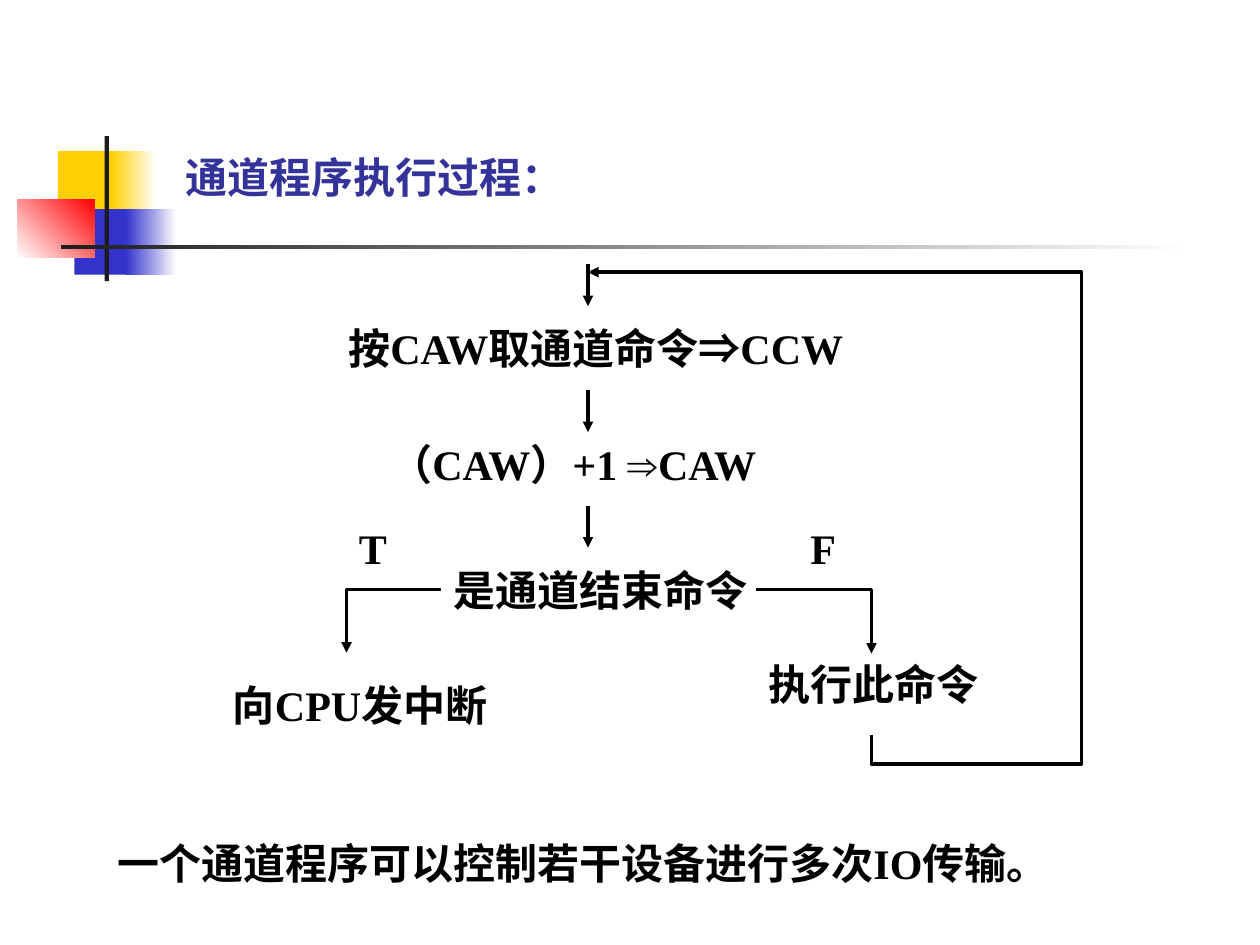
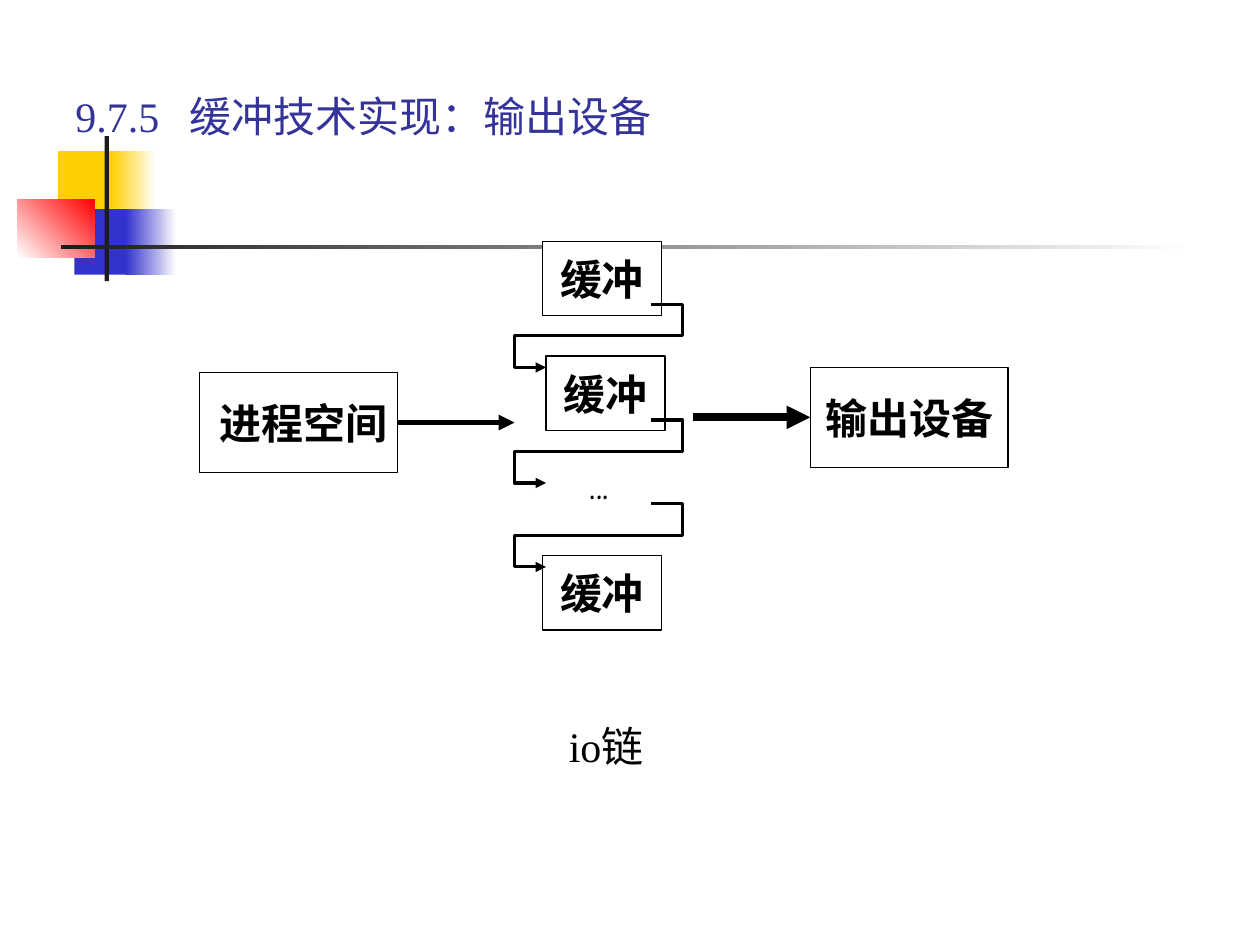
import pptx
import pptx.dml.color
import pptx.enum.shapes
import pptx.enum.text
import pptx.oxml.ns
import pptx.util
from lxml import etree

Pt = pptx.util.Pt
RGB = pptx.dml.color.RGBColor
qn = pptx.oxml.ns.qn
RECT = pptx.enum.shapes.MSO_SHAPE.RECTANGLE

BLACK = RGB(0x00, 0x00, 0x00)
WHITE = RGB(0xFF, 0xFF, 0xFF)
COAL = RGB(0x1C, 0x1C, 0x1C)
GOLD = RGB(0xFF, 0xCF, 0x01)
BLUE = RGB(0x33, 0x33, 0xCC)
RED = RGB(0xFF, 0x00, 0x00)
NAVY = RGB(0x33, 0x33, 0x99)
SERIF = "Times New Roman"
COMIC = "Comic Neue"


def write(shape, text, bold=True, tint=BLACK, face=SERIF):
    shape.text_frame.text = text
    for run in shape.text_frame.paragraphs[0].runs:
        run.font.name = face
        run.font.size = Pt(24)
        run.font.bold = bold
        run.font.color.rgb = tint


def arrow(shape, width):
    """Style a line or open path as a black arrow without shadow."""
    shape.line.color.rgb = BLACK
    shape.line.width = Pt(width)
    props = shape.element.spPr
    etree.SubElement(props.find(qn("a:ln")), qn("a:tailEnd"), type="triangle")
    etree.SubElement(props, qn("a:effectLst"))


deck = pptx.Presentation()
deck.slide_width = Pt(720)
deck.slide_height = Pt(540)
blank = deck.slide_layouts[6]
for holder in list(blank.placeholders):
    holder.element.getparent().remove(holder.element)
flow = deck.slides.add_slide(blank)
chain = deck.slides.add_slide(blank)

# Shared corner blocks and rules, placed on the layout: left, top, width, height, colours, angle
decor = [
    (33.1, 86.4, 34.6, 37.4, [GOLD], 0),
    (63.4, 86.4, 25.9, 37.4, [GOLD, WHITE], 0),
    (42.5, 119.5, 33.1, 37.4, [BLUE], 0),
    (72, 119.5, 28.8, 37.4, [BLUE, WHITE], 0),
    (10, 113.8, 44, 33.5, [WHITE, RED], 45),
    (59.8, 77.8, 2.5, 82.8, [COAL], 0),
    (34.6, 140, 648, 2.6, [COAL, WHITE], 0),
]
for left, top, wide, high, tints, angle in decor:
    block = flow.shapes.add_shape(RECT, Pt(left), Pt(top), Pt(wide), Pt(high))
    block.shadow.inherit = False
    block.line.fill.background()
    if len(tints) == 1:
        block.fill.solid()
        block.fill.fore_color.rgb = tints[0]
    else:
        block.fill.gradient()
        block.fill.gradient_angle = angle
        for stop, tint in zip(block.fill.gradient_stops, tints):
            stop.color.rgb = tint
    blank.shapes.element.append(block.element)

# Boxes of the buffer chain
boxes = []
for text, left, top, wide, high in [
    ("进程空间", 114, 213, 113, 57),
    ("输出设备", 463, 210, 113, 57),
    ("缓冲", 310, 138, 68, 42.5),
    ("缓冲", 312, 203.5, 68, 42.5),
    ("缓冲", 310, 317.5, 68, 42.5),
]:
    box = chain.shapes.add_shape(RECT, Pt(left), Pt(top), Pt(wide), Pt(high))
    box.shadow.inherit = False
    box.fill.solid()
    box.fill.fore_color.rgb = WHITE
    box.line.color.rgb = BLACK
    box.line.width = Pt(0.75)
    write(box, text)
    box.text_frame.word_wrap = False
    box.text_frame.vertical_anchor = pptx.enum.text.MSO_ANCHOR.MIDDLE
    box.text_frame.paragraphs[0].alignment = pptx.enum.text.PP_ALIGN.CENTER
    boxes.append(box)
space, device = boxes[:2]
space.text_frame.margin_left = Pt(13)

# Straight arrows
lines = [(flow, 336, top, 336, top + 24, 2) for top in (151, 223, 289)]
lines += [(chain, 227, 241.5, 294, 241.5, 3), (chain, 396, 238.5, 463, 238.5, 4.5)]
links = []
for slide, *ends, width in lines:
    link = slide.shapes.add_connector(
        pptx.enum.shapes.MSO_CONNECTOR.STRAIGHT, *map(Pt, ends))
    arrow(link, width)
    links.append(link)
links[-2].begin_connect(space, 3)
links[-1].end_connect(device, 1)

# Bent arrows
bends = [
    (flow, 2, [(432, 337), (498, 337), (498, 373.5)]),
    (flow, 2, [(498, 420), (498, 436.5), (618, 436.5), (618, 155.5), (336, 155.5)]),
    (flow, 2, [(252, 337), (198, 337), (198, 373)]),
]
for top in (174, 240, 288):
    bends.append((chain, 1.75, [
        (372, top), (390, top), (390, top + 18),
        (294, top + 18), (294, top + 36), (312, top + 36)]))
for slide, width, spots in bends:
    spots = [(Pt(x), Pt(y)) for x, y in spots]
    pen = slide.shapes.build_freeform(*spots[0])
    pen.add_line_segments(spots[1:], close=False)
    bend = pen.convert_to_shape()
    bend.fill.background()
    arrow(bend, width)

# Texts: slide, left, top, width, wording and style
notes = [
    (flow, 99, 83, 402, "通道程序执行过程：", True, NAVY),
    (flow, 192, 181, 306, "按CAW取通道命令⇒CCW"),
    (flow, 216, 247, 252, "（CAW）+1 ⇒CAW"),
    (flow, 252, 319, 186, "是通道结束命令"),
    (flow, 432, 373, 138, "执行此命令"),
    (flow, 456, 295, 48, "F"),
    (flow, 198, 295, 48, "T"),
    (flow, 126, 385, 162, "向CPU发中断"),
    (flow, 60, 475, 594, "一个通道程序可以控制若干设备进行多次IO传输。"),
    (chain, 36, 48, 390, "9.7.5\t缓冲技术实现：输出设备", False, NAVY),
    (chain, 330, 258, 42, "...", False, BLACK, COMIC),
    (chain, 318, 408, 72, "io链", False),
]
for slide, left, top, wide, text, *style in notes:
    note = slide.shapes.add_textbox(Pt(left), Pt(top), Pt(wide), Pt(36))
    note.text_frame.word_wrap = True
    write(note, text, *style)
    if "\t" in text:
        props = note.text_frame.paragraphs[0]._p.get_or_add_pPr()
        tabs = etree.SubElement(props, qn("a:tabLst"))
        etree.SubElement(tabs, qn("a:tab"), pos=str(Pt(65)), algn="l")

deck.save("out.pptx")
